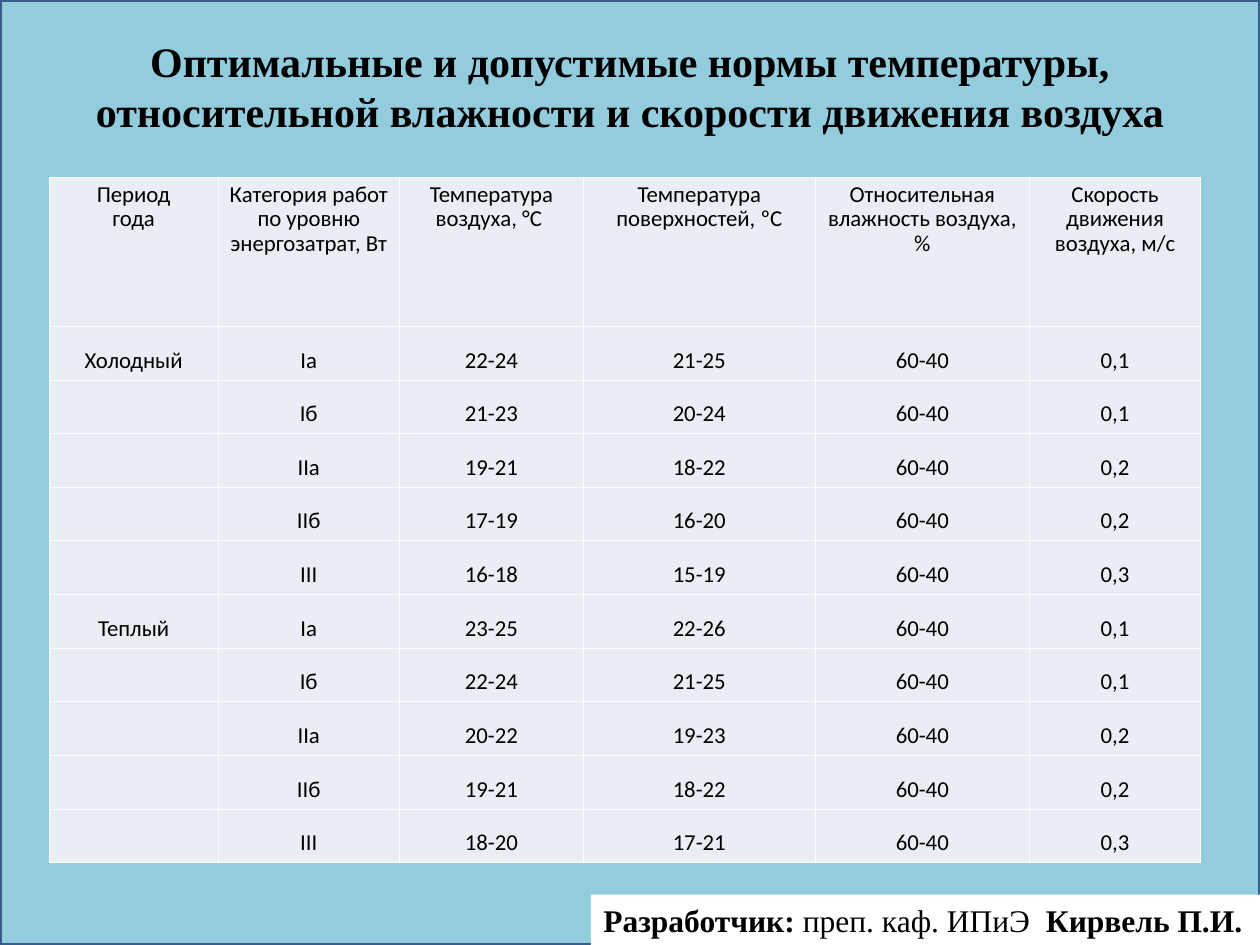
from lxml.etree import SubElement
from pptx import Presentation
from pptx.dml.color import RGBColor
from pptx.enum.shapes import MSO_SHAPE
from pptx.enum.text import MSO_ANCHOR, MSO_AUTO_SIZE, PP_ALIGN
from pptx.oxml.ns import qn
from pptx.util import Inches, Pt

COLORS = {"sky": "93CDDD", "frame": "385D8A", "cell": "E9EDF4", "white": "FFFFFF", "ink": "000000"}
SERIF, SANS = "Times New Roman", "Calibri"
WIDTH, HEIGHT = 10, 7.5

TITLE = "Оптимальные и допустимые нормы температуры, относительной влажности и скорости движения воздуха"
HEADINGS = [
    "Период\nгода",
    "Категория работ по уровню энергозатрат, Вт",
    "Температура воздуха, °С ",
    "Температура поверхностей, ºС",
    "Относительная влажность воздуха, %",
    "Скорость движения воздуха, м/с",
]
CATEGORIES = ["Iа", "Iб", "IIа", "IIб", "III"]
SPEEDS = ["0,1", "0,1", "0,2", "0,2", "0,3"]
HUMIDITY = "60-40"
SEASONS = [
    ("Холодный", ["22-24", "21-23", "19-21", "17-19", "16-18"],
     ["21-25", "20-24", "18-22", "16-20", "15-19"], MSO_ANCHOR.TOP),
    ("Теплый", ["23-25", "22-24", "20-22", "19-21", "18-20"],
     ["22-26", "21-25", "19-23", "18-22", "17-21"], MSO_ANCHOR.MIDDLE),
]
CREDIT = [("Разработчик:", True), (" преп. каф. ИПиЭ  ", False), ("Кирвель П.И.", True)]
COLUMN_WIDTHS = [1.34, 1.44, 1.46, 1.84, 1.7, 1.36]
HEADING_HEIGHT, ROW_HEIGHT = 1.18, 0.42


def color(key):
    return RGBColor.from_string(COLORS[key])


def style(font, size, name):
    font.size, font.name = Pt(size), name
    font.color.rgb = color("ink")


def add_panel(slide, box, fill):
    panel = slide.shapes.add_shape(MSO_SHAPE.RECTANGLE, *map(Inches, box))
    panel.shadow.inherit = False
    panel.fill.solid()
    panel.fill.fore_color.rgb = color(fill)
    return panel


def add_backdrop(slide, box):
    backdrop = add_panel(slide, box, "sky")
    backdrop.line.color.rgb = color("frame")
    backdrop.line.width = Pt(2)


def add_title(slide, box):
    frame = slide.shapes.add_textbox(*map(Inches, box)).text_frame
    frame.word_wrap = True
    frame.auto_size = MSO_AUTO_SIZE.SHAPE_TO_FIT_TEXT
    heading = frame.paragraphs[0]
    heading.text = TITLE
    heading.alignment = PP_ALIGN.CENTER
    style(heading.font, 24, SERIF)
    heading.font.bold = True


def add_borders(cell):
    properties = cell._tc.get_or_add_tcPr()
    for side in ("lnL", "lnR", "lnT", "lnB"):
        border = SubElement(properties, qn(f"a:{side}"), w=str(Pt(0.45)))
        SubElement(SubElement(border, qn("a:solidFill")), qn("a:srgbClr"), val=COLORS["white"])


def fill_cell(cell, text, spacing, anchor):
    add_borders(cell)
    cell.fill.solid()
    cell.fill.fore_color.rgb = color("cell")
    cell.margin_left = cell.margin_right = Inches(0.02)
    cell.vertical_anchor = anchor
    cell.text = text
    for paragraph in cell.text_frame.paragraphs:
        paragraph.alignment = PP_ALIGN.CENTER
        paragraph.line_spacing = spacing
        style(paragraph.font, 13, SANS)


def norm_rows():
    rows = [(HEADINGS, Pt(14), MSO_ANCHOR.TOP)]
    for season, air, surfaces, anchor in SEASONS:
        for index, values in enumerate(zip(CATEGORIES, air, surfaces, SPEEDS)):
            category, air_range, surface_range, speed = values
            label = season if index == 0 else ""
            texts = [label, category, air_range, surface_range, HUMIDITY, speed]
            rows.append((texts, 1.5, anchor))
    return rows


def add_norms(slide, box):
    rows = norm_rows()
    norms = slide.shapes.add_table(len(rows), len(HEADINGS), *map(Inches, box)).table
    norms.first_row = norms.horz_banding = False
    for column, width in zip(norms.columns, COLUMN_WIDTHS):
        column.width = Inches(width)
    for index, (texts, spacing, anchor) in enumerate(rows):
        norms.rows[index].height = Inches(ROW_HEIGHT if index else HEADING_HEIGHT)
        for cell, text in zip(norms.rows[index].cells, texts):
            fill_cell(cell, text, spacing, anchor)


def add_credit(slide, box):
    credit = add_panel(slide, box, "white")
    credit.line.fill.background()
    frame = credit.text_frame
    frame.word_wrap = True
    frame.auto_size = MSO_AUTO_SIZE.SHAPE_TO_FIT_TEXT
    frame.vertical_anchor = MSO_ANCHOR.TOP
    line = frame.paragraphs[0]
    line.alignment = PP_ALIGN.LEFT
    style(line.font, 18, SERIF)
    for text, bold in CREDIT:
        run = line.add_run()
        run.text = text
        run.font.bold = bold


def main():
    deck = Presentation()
    deck.slide_width, deck.slide_height = Inches(WIDTH), Inches(HEIGHT)
    slide = deck.slides.add_slide(deck.slide_layouts[6])
    add_backdrop(slide, (0, 0, WIDTH, HEIGHT))
    add_title(slide, (0.55, 0.23, WIDTH - 2 * 0.55, 0.9))
    table_height = HEADING_HEIGHT + ROW_HEIGHT * len(CATEGORIES) * len(SEASONS)
    add_norms(slide, (0.39, 1.41, sum(COLUMN_WIDTHS), table_height))
    add_credit(slide, (4.69, HEIGHT - 0.4, WIDTH - 4.69, 0.4))
    deck.save("out.pptx")


if __name__ == "__main__":
    main()
